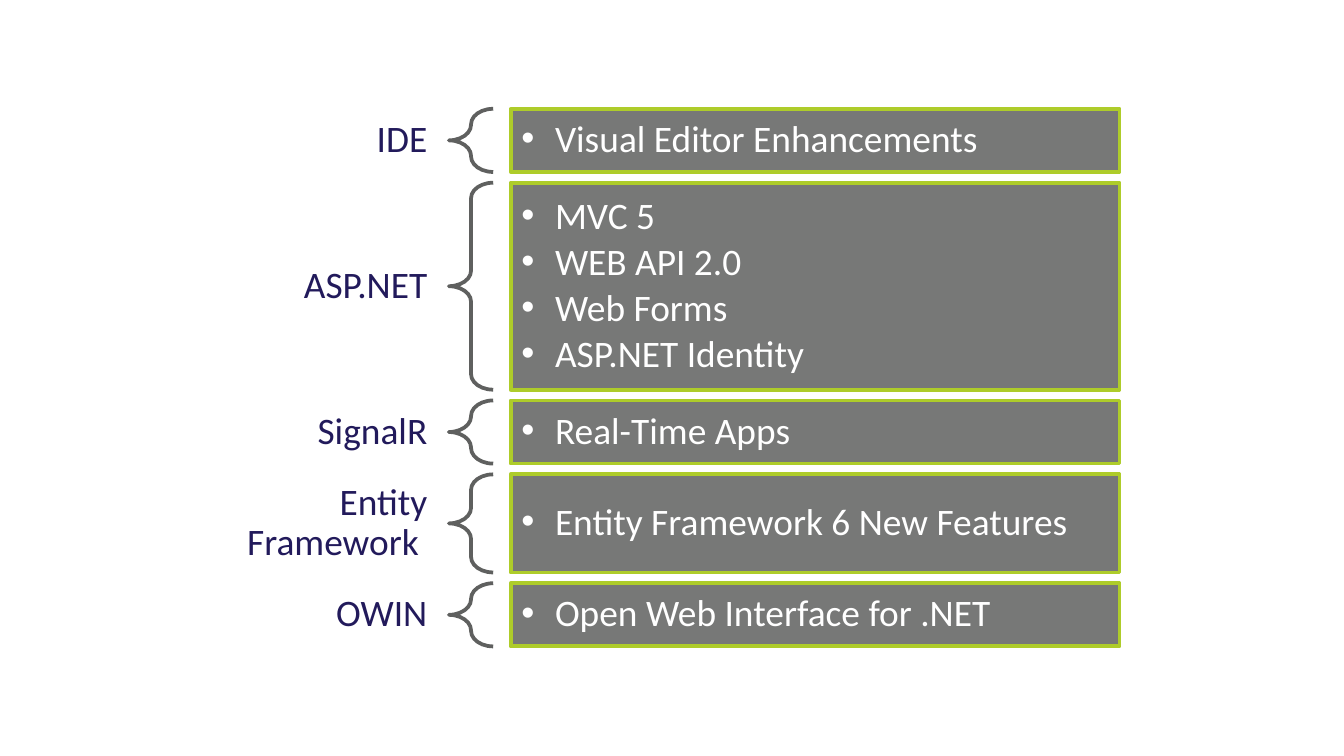
from pptx import Presentation
from pptx.dml.color import RGBColor
from pptx.enum.shapes import MSO_SHAPE as SHAPE
from pptx.enum.text import MSO_ANCHOR as ANCHOR, PP_ALIGN as ALIGN
from pptx.oxml.ns import qn
from pptx.util import Inches, Pt
from lxml import etree

NAVY = RGBColor(0x22, 0x1A, 0x5B)
GRAY = RGBColor(0x77, 0x78, 0x77)
DARK_GRAY = RGBColor(0x5F, 0x60, 0x5F)
LIME = RGBColor(0xAE, 0xCC, 0x2A)
WHITE = RGBColor(0xFF, 0xFF, 0xFF)

LEFT, TOP, GAP = 1.67, 0.81, 0.08
LABEL_W, BRACE_W, BOX_W = 1.67, 0.33, 4.53
LABEL_H = 0.43

# Label, height of the row, topics
ROWS = [
    ("IDE", 0.47, ["Visual Editor Enhancements"]),
    ("ASP.NET", 1.54, ["MVC 5", "WEB API 2.0", "Web Forms", "ASP.NET Identity"]),
    ("SignalR", 0.47, ["Real-Time Apps"]),
    ("Entity Framework ", 0.73, ["Entity Framework 6 New Features"]),
    ("OWIN", 0.47, ["Open Web Interface for .NET"]),
]


def set_frame(tf, inset_x, inset_y):
    tf.word_wrap = True
    tf.vertical_anchor = ANCHOR.MIDDLE
    tf.margin_left = tf.margin_right = Inches(inset_x)
    tf.margin_top = tf.margin_bottom = Inches(inset_y)


def add_text(p, text, color, align, after):
    p.alignment = align
    p.line_spacing = 0.9
    p.space_after = Pt(after)
    r = p.add_run()
    r.text = text
    r.font.name = "Calibri"
    r.font.size = Pt(20)
    r.font.color.rgb = color


def add_bullet(p):
    p.level = 1
    pPr = p._p.get_or_add_pPr()
    pPr.set("marL", str(Inches(0.25)))
    pPr.set("indent", str(-Inches(0.25)))
    etree.SubElement(pPr, qn("a:buFont")).set("typeface", "Arial")
    etree.SubElement(pPr, qn("a:buChar")).set("char", "•")


def add_outline(s, kind, left, top, width, height, color):
    sp = s.shapes.add_shape(kind, Inches(left), Inches(top),
                            Inches(width), Inches(height))
    sp.shadow.inherit = False
    sp.line.color.rgb = color
    sp.line.width = Pt(2)
    return sp


def add_row(s, left, top, height, label, topics):
    # Label on the left, centred on the row
    label_h = height if " " in label else LABEL_H
    tb = s.shapes.add_textbox(Inches(left), Inches(top + (height - label_h) / 2),
                              Inches(LABEL_W), Inches(label_h))
    set_frame(tb.text_frame, 0.16, 0.06)
    add_text(tb.text_frame.paragraphs[0], label, NAVY, ALIGN.RIGHT, 7)

    # Brace
    brace_left = left + LABEL_W
    brace = add_outline(s, SHAPE.LEFT_BRACE, brace_left, top, BRACE_W, height, DARK_GRAY)
    brace.fill.background()
    brace.adjustments[0] = 0.35
    brace.adjustments[1] = 0.5

    # Box with topics
    box = add_outline(s, SHAPE.RECTANGLE, brace_left + BRACE_W + 0.13, top,
                      BOX_W, height, LIME)
    box.fill.solid()
    box.fill.fore_color.rgb = GRAY
    tf = box.text_frame
    set_frame(tf, 0.08, 0.08)
    for i, topic in enumerate(topics):
        p = tf.add_paragraph() if i else tf.paragraphs[0]
        add_text(p, topic, WHITE, ALIGN.LEFT, 3)
        add_bullet(p)


def add_topics(s, left, top):
    for label, height, topics in ROWS:
        add_row(s, left, top, height, label, topics)
        top += height + GAP


# Widescreen slide, 16:9
prs = Presentation()
prs.slide_width = Inches(10)
prs.slide_height = Inches(10 * 9 / 16)
s = prs.slides.add_slide(prs.slide_layouts[6])
add_topics(s, LEFT, TOP)
prs.save("out.pptx")
